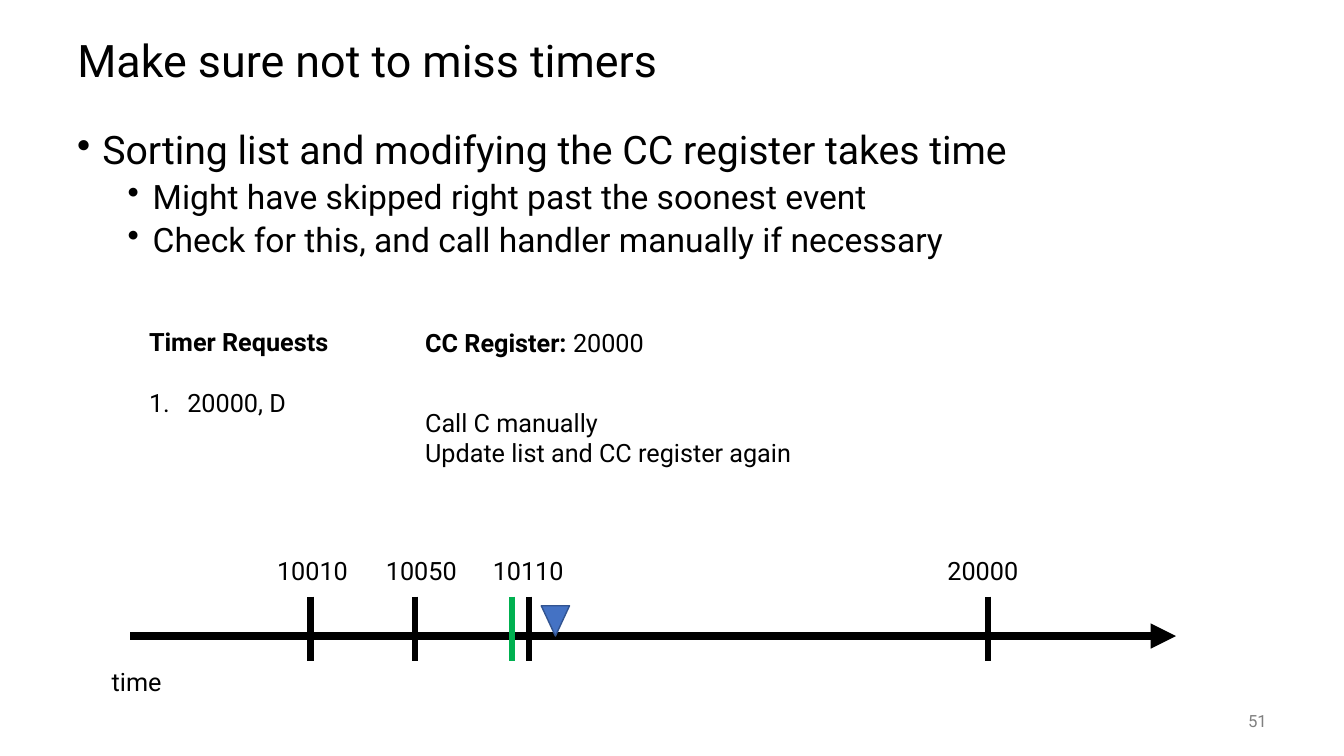
from dataclasses import dataclass

from lxml.etree import SubElement
from pptx import Presentation
from pptx.dml.color import RGBColor
from pptx.enum.shapes import MSO_CONNECTOR, MSO_SHAPE
from pptx.enum.text import MSO_ANCHOR, PP_ALIGN
from pptx.oxml.ns import qn
from pptx.util import Inches, Pt


@dataclass(frozen=True)
class Theme:
    font: str = "Roboto"
    ink: RGBColor = RGBColor(0x00, 0x00, 0x00)
    muted: RGBColor = RGBColor(0x80, 0x80, 0x80)
    now: RGBColor = RGBColor(0x00, 0xB0, 0x50)
    marker: RGBColor = RGBColor(0x44, 0x72, 0xC4)
    marker_edge: RGBColor = RGBColor(0x32, 0x54, 0x91)
    title: int = 32
    bullet: int = 28
    sub_bullet: int = 24
    label: int = 18
    number: int = 12


theme = Theme()

deck = Presentation()
deck.slide_width, deck.slide_height = Inches(13.33), Inches(7.5)
page = deck.slides.add_slide(deck.slide_layouts[5])

# Grid: 40 columns by 30 rows
column = deck.slide_width / 40
row = deck.slide_height / 30


def add_text(frame, text, *, lead="", size=theme.label, color=theme.ink, bold=False,
             align=PP_ALIGN.LEFT, spacing=1.0, before=0, level=0, indent=0,
             hanging=0, bullet=None):
    """Add a paragraph, with an optional bold lead and a bullet (tag, attributes)."""
    para = frame.paragraphs[0]
    if para.runs:
        para = frame.add_paragraph()
    para.level = level
    para.alignment = align
    para.line_spacing = spacing
    para.space_before = Pt(before)
    if bullet:
        tag, attributes = bullet
        properties = para._p.get_or_add_pPr()
        properties.set("marL", str(Inches(indent)))
        properties.set("indent", str(-Inches(hanging)))
        SubElement(properties, qn(tag), attributes)
    for words, heavy in ((lead, True), (text, bold)):
        if words:
            span = para.add_run()
            span.text = words
            span.font.name = theme.font
            span.font.size = Pt(size)
            span.font.bold = heavy
            span.font.color.rgb = color


def add_line(x1, y1, x2, y2, *, color=theme.ink, width=4.5):
    line = page.shapes.add_connector(
        MSO_CONNECTOR.STRAIGHT,
        round(x1 * column), round(y1 * row), round(x2 * column), round(y2 * row))
    line.line.color.rgb = color
    line.line.width = Pt(width)
    SubElement(line._element.spPr, qn("a:effectLst"))
    return line


# Title
title = page.shapes.title
title.left, title.top = round(2 * column), round(row)
title.width, title.height = round(36 * column), round(3 * row)
title.text_frame.vertical_anchor = MSO_ANCHOR.MIDDLE
add_text(title.text_frame, "Make sure not to miss timers", size=theme.title, spacing=0.9)

# Text boxes: left, top, width, height in grid units, then paragraphs
dot = ("a:buChar", {"char": "•"})
numeral = ("a:buAutoNum", {"type": "arabicPeriod"})
sub_bullet = dict(size=theme.sub_bullet, spacing=0.9, before=5, level=1,
                  indent=0.75, hanging=0.25, bullet=dot)
text_boxes = [
    (2, 5, 36, 22, [
        ("Sorting list and modifying the CC register takes time",
         dict(size=theme.bullet, spacing=0.9, indent=0.25, hanging=0.25, bullet=dot)),
        ("Might have skipped right past the soonest event", sub_bullet),
        ("Check for this, and call handler manually if necessary", sub_bullet),
    ]),
    (4.14, 12.76, 7.65, 4.04, [
        ("Timer Requests", dict(bold=True)),
        ("20000, D", dict(before=22, indent=0.38, hanging=0.38, bullet=numeral)),
    ]),
    (12.36, 12.8, 7.65, 1.6, [("20000", dict(lead="CC Register: "))]),
    (12.36, 15.96, 14.6, 2.84, [
        ("Call C manually", {}),
        ("Update list and CC register again", {}),
    ]),
    (3.03, 26.24, 6.6, 1.6, [("time", {})]),
    (35, 27.8, 3, 1.6, [
        ("51", dict(size=theme.number, color=theme.muted, align=PP_ALIGN.RIGHT)),
    ]),
]

# Timeline: tick column, label column, label
events = [
    (9.24, 7.95, "10010"),
    (12.36, 11.19, "10050"),
    (15.75, 14.37, "10110"),
    (29.4, 27.9, "20000"),
]
tick_top, tick_bottom, axis_row = 23.68, 26.24, 25.24

axis = add_line(3.87, axis_row, 35, axis_row, width=6)
SubElement(axis.line._get_or_add_ln(), qn("a:tailEnd"), {"type": "triangle"})
for tick, label_left, label in events:
    add_line(tick, tick_top, tick, tick_bottom)
    text_boxes.append((label_left, 21.84, 3.03, 1.6, [(label, {})]))

for left, top, width, height, paragraphs in text_boxes:
    box = page.shapes.add_textbox(round(left * column), round(top * row),
                                  round(width * column), round(height * row))
    box.text_frame.word_wrap = True
    for text, style in paragraphs:
        add_text(box.text_frame, text, **style)

# The slide number is the one box centred vertically
    if top == 27.8:
        box.text_frame.vertical_anchor = MSO_ANCHOR.MIDDLE

# Current-time marker and the green tick beside it
marker = page.shapes.add_shape(
    MSO_SHAPE.ISOSCELES_TRIANGLE, round(16.11 * column), round(24.04 * row),
    round(0.84 * column), round(1.2 * row))
marker.rotation = 180
marker.shadow.inherit = False
marker.fill.solid()
marker.fill.fore_color.rgb = theme.marker
marker.line.color.rgb = theme.marker_edge
marker.line.width = Pt(1)
add_line(15.24, tick_top, 15.24, tick_bottom, color=theme.now)

deck.save("out.pptx")
